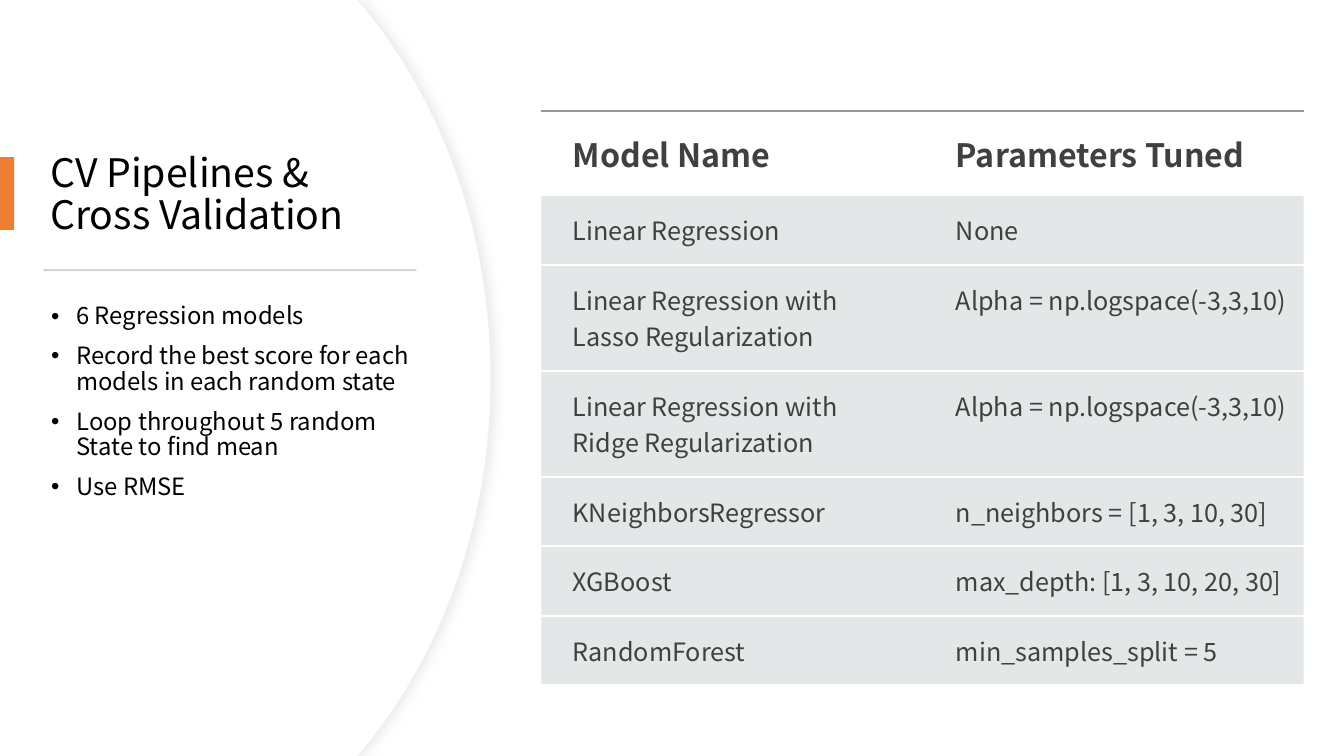
from lxml.etree import SubElement
from pptx import Presentation
from pptx.dml.color import RGBColor
from pptx.enum.shapes import MSO_SHAPE
from pptx.enum.text import MSO_ANCHOR
from pptx.oxml import parse_xml
from pptx.oxml.ns import nsdecls, qn
from pptx.util import Inches, Pt

FONT = "Noto Sans CJK SC"
COLORS = {
    "white": "FFFFFF",
    "black": "000000",
    "outline": "EFEFEF",
    "shadow": "D9D9D9",
    "accent": "ED7D31",
    "divider": "D5D5D5",
    "table_text": "404040",
    "table_fill": "B4BCBE",
    "table_rule": "8F9A9D",
}
BULLETS = [
    "6 Regression models",
    "Record the best score for each models in each random state",
    "Loop throughout 5 random State to find mean",
    "Use RMSE",
]
MODELS = [
    ("Model Name", "Parameters Tuned"),
    ("Linear Regression", "None"),
    ("Linear Regression with Lasso Regularization", "Alpha = np.logspace(-3,3,10)"),
    ("Linear Regression with Ridge Regularization", "Alpha = np.logspace(-3,3,10)"),
    ("KNeighborsRegressor", "n_neighbors = [1, 3, 10, 30]"),
    ("XGBoost", "max_depth: [1, 3, 10, 20, 30]"),
    ("RandomForest", "min_samples_split = 5"),
]
COLUMN_WIDTHS = [3.8, 3.76]
ROW_HEIGHTS = [0.84, 0.69, 1.05, 1.05, 0.69, 0.69, 0.69]


def rgb(name):
    """Return the named color."""
    return RGBColor.from_string(COLORS[name])


def write_text(para, text, size, color="black", bold=False, line_spacing=None, space_before=0):
    """Write formatted text into a paragraph, breaking lines at newlines."""
    para.line_spacing = line_spacing
    para.space_before = Pt(space_before)
    for index, line in enumerate(text.split("\n")):
        if index:
            para.add_line_break()
        span = para.add_run()
        span.text = line
        span.font.name = FONT
        span.font.size = Pt(size)
        span.font.bold = bold
        span.font.color.rgb = rgb(color)
        SubElement(span.font._element, qn("a:ea"), typeface=FONT)


def add_bullet(para, indent=0.25):
    """Give a paragraph a hanging bullet."""
    properties = para._p.get_or_add_pPr()
    properties.set("marL", str(Inches(indent)))
    properties.set("indent", str(-Inches(indent)))
    SubElement(properties, qn("a:buFont"), typeface="Arial")
    SubElement(properties, qn("a:buChar"), char="•")


def add_text_frame(page, left, top, width, height, anchor):
    """Add a wrapping text box and return its frame."""
    frame = page.shapes.add_textbox(
        Inches(left), Inches(top), Inches(width), Inches(height)
    ).text_frame
    frame.word_wrap = True
    frame.vertical_anchor = anchor
    return frame


def add_bar(page, left, top, width, height, color):
    """Add a plain filled rectangle."""
    bar = page.shapes.add_shape(
        MSO_SHAPE.RECTANGLE, Inches(left), Inches(top), Inches(width), Inches(height)
    )
    bar.shadow.inherit = False
    bar.fill.solid()
    bar.fill.fore_color.rgb = rgb(color)
    bar.line.fill.background()


def curve_segments(panel, first, count):
    """Turn each three line segments from the first on into a Bezier curve."""
    lines = list(panel._element.iter(qn("a:lnTo")))
    for start in range(first, first + 3 * count, 3):
        curve = parse_xml(f'<a:cubicBezTo {nsdecls("a")}/>')
        lines[start].addprevious(curve)
        for line in lines[start:start + 3]:
            curve.append(line[0])
            line.getparent().remove(line)


def add_panel(page, right):
    """Add a white panel with a curved right edge."""
    edge = right - 1.32
    upper = [(edge, 0), (right - 1.25, 0.08), (right - 0.48, 1.02), (right, 2.32)]
    lower = [(x, 7.5 - y) for x, y in reversed(upper)]
    points = [*upper, (right, 3.75), *lower, (0, 7.5)]
    builder = page.shapes.build_freeform(0, 0, scale=Inches(0.01))
    builder.add_line_segments([(x * 100, y * 100) for x, y in points], close=True)
    panel = builder.convert_to_shape()
    curve_segments(panel, first=2, count=2)
    panel.shadow.inherit = False
    panel.fill.solid()
    panel.fill.fore_color.rgb = rgb("white")
    panel.line.fill.background()
    return panel


def add_shadowed_panel(page, right):
    """Add a curved panel with a thin outline and a soft shadow."""
    panel = add_panel(page, right)
    panel.line.color.rgb = rgb("outline")
    panel.line.width = Pt(0.75)
    effects = panel._element.spPr.find(qn("a:effectLst"))
    shadow = SubElement(
        effects, qn("a:outerShdw"), blurRad=str(Pt(7)), dist=str(Pt(3)), dir="0",
        algn="l", rotWithShape="0",
    )
    color = SubElement(shadow, qn("a:srgbClr"), val=COLORS["shadow"])
    SubElement(color, qn("a:alpha"), val="50000")


def set_borders(cell, top):
    """Draw horizontal cell borders and clear the vertical ones."""
    properties = cell._tc.get_or_add_tcPr()
    sides = {"lnL": None, "lnR": None, "lnT": top, "lnB": "white"}
    for index, (side, color) in enumerate(sides.items()):
        paint = (
            f'<a:solidFill><a:srgbClr val="{COLORS[color]}"/></a:solidFill>'
            if color else "<a:noFill/>"
        )
        border = parse_xml(f'<a:{side} {nsdecls("a")} w="{Pt(1.5)}">{paint}</a:{side}>')
        properties.insert(index, border)


def fill_cell(cell, text, header):
    """Write and style one table cell."""
    padding = Inches(0.19 if header else 0.16)
    cell.margin_left = Inches(0.31)
    cell.margin_right = cell.margin_top = cell.margin_bottom = padding
    write_text(cell.text_frame.paragraphs[0], text, 23 if header else 18,
               color="table_text", bold=header)
    if header:
        cell.fill.background()
    else:
        cell.fill.solid()
        cell.fill.fore_color.rgb = rgb("table_fill")
        color = cell._tc.tcPr.find(qn("a:solidFill")).find(qn("a:srgbClr"))
        SubElement(color, qn("a:alpha"), val="35000")
    set_borders(cell, "table_rule" if header else "white")


def add_model_table(page):
    """Add the table of models and their tuned parameters."""
    table = page.shapes.add_table(
        len(MODELS), len(COLUMN_WIDTHS), Inches(5.37), Inches(1.1),
        Inches(sum(COLUMN_WIDTHS)), Inches(sum(ROW_HEIGHTS)),
    ).table
    table.first_row = table.horz_banding = False
    for column, width in zip(table.columns, COLUMN_WIDTHS):
        column.width = Inches(width)
    for index, (row, height) in enumerate(zip(table.rows, ROW_HEIGHTS)):
        row.height = Inches(height)
        for cell, text in zip(row.cells, MODELS[index]):
            fill_cell(cell, text, header=index == 0)


def main():
    """Build the slide and save the deck."""
    deck = Presentation()
    deck.slide_width, deck.slide_height = Inches(13.33), Inches(7.5)
    page = deck.slides.add_slide(deck.slide_layouts[6])
    add_shadowed_panel(page, 4.87)
    add_panel(page, 4.86)
    title = add_text_frame(page, 0.4, 1.27, 3.76, 1.35, MSO_ANCHOR.MIDDLE)
    write_text(title.paragraphs[0], "CV Pipelines & \nCross Validation", 28, line_spacing=0.9)
    add_bar(page, 0, 1.56, 0.14, 0.72, "accent")
    add_bar(page, 0.43, 2.67, 3.7, 0.02, "divider")
    body = add_text_frame(page, 0.41, 2.97, 3.76, 3.51, MSO_ANCHOR.TOP)
    for index, text in enumerate(BULLETS):
        para = body.add_paragraph() if index else body.paragraphs[0]
        write_text(para, text, 17, line_spacing=0.9, space_before=10)
        add_bullet(para)
    add_model_table(page)
    deck.save("out.pptx")


if __name__ == "__main__":
    main()
